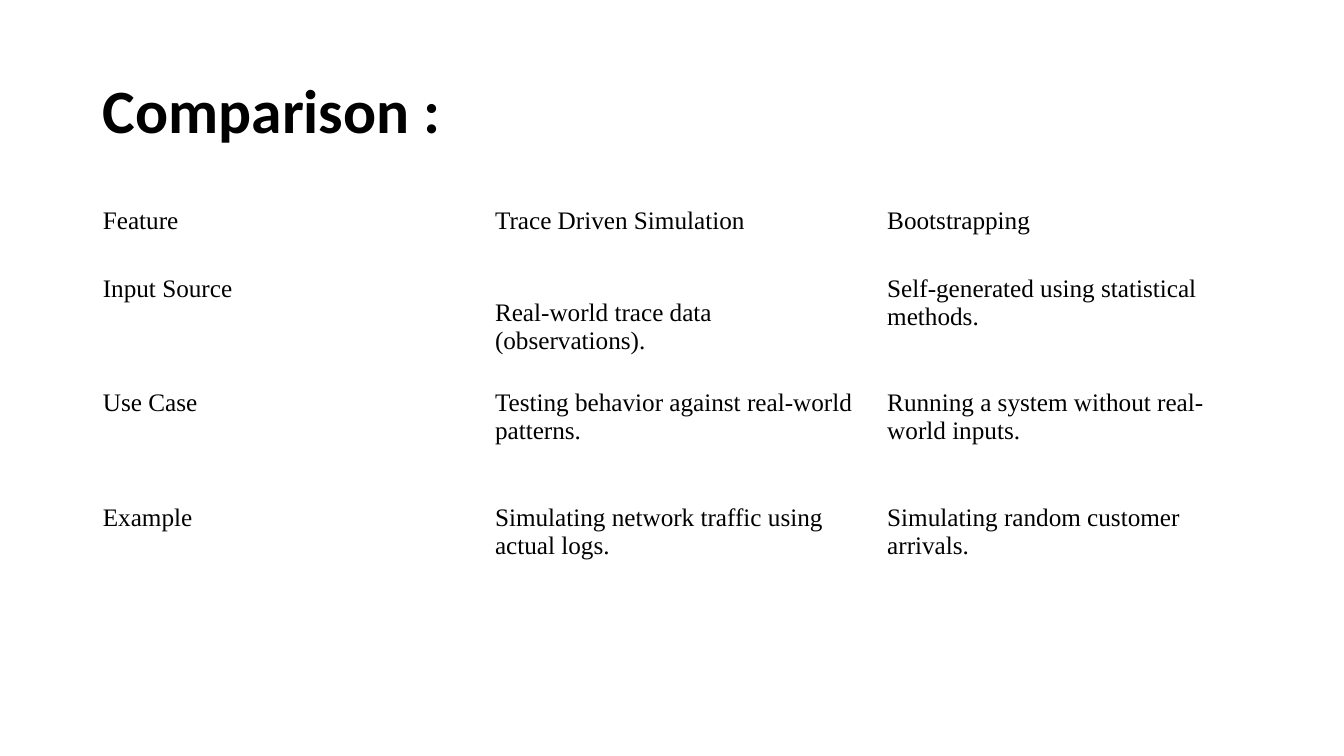
"""Build a slide comparing trace driven simulation with bootstrapping."""
from pptx import Presentation
from pptx.dml.color import RGBColor
from pptx.enum.text import MSO_ANCHOR as Anchor, PP_ALIGN as Align
from pptx.util import Inches, Pt

HEADING = "Comparison :"
COMPARISON = [
    ("Feature", "Trace Driven Simulation", "Bootstrapping"),
    ("Input Source", "Real-world trace data (observations).",
     "Self-generated using statistical methods."),
    ("Use Case", "Testing behavior against real-world patterns.",
     "Running a system without real-world inputs."),
    ("Example", "Simulating network traffic using actual logs.",
     "Simulating random customer arrivals."),
]
ROW_HEIGHTS = [0.68, 1.13, 1.14, 1.13]
COLUMN_WIDTH = 3.89
LEFT = 0.92
CENTERED_CELL = (1, 1)
BLACK = "000000"


def style(paragraph, font_name, size, color, bold=False):
    paragraph.alignment = Align.LEFT
    for run in paragraph.runs:
        run.font.name = font_name
        run.font.size = Pt(size)
        run.font.bold = bold
        run.font.color.rgb = RGBColor.from_string(color)


def add_heading(slide):
    heading = slide.shapes.title
    heading.left, heading.top = Inches(LEFT), Inches(0.4)
    heading.width, heading.height = Inches(11.5), Inches(1.45)
    frame = heading.text_frame
    frame.text = HEADING
    frame.word_wrap = True
    frame.vertical_anchor = Anchor.MIDDLE
    frame.paragraphs[0].line_spacing = 0.9
    style(frame.paragraphs[0], "Calibri", 44, BLACK, bold=True)


def add_comparison(slide):
    column_count = len(COMPARISON[0])
    table = slide.shapes.add_table(
        len(COMPARISON), column_count, Inches(LEFT), Inches(2),
        Inches(COLUMN_WIDTH * column_count), Inches(sum(ROW_HEIGHTS))).table
    table.first_row = False
    table.horz_banding = False
    for column in table.columns:
        column.width = Inches(COLUMN_WIDTH)
    for r, (features, height) in enumerate(zip(COMPARISON, ROW_HEIGHTS)):
        table.rows[r].height = Inches(height)
        for c, wording in enumerate(features):
            cell = table.cell(r, c)
            cell.fill.background()
            cell.text_frame.text = wording
            cell.vertical_anchor = Anchor.MIDDLE if (r, c) == CENTERED_CELL else Anchor.TOP
            style(cell.text_frame.paragraphs[0], "Times New Roman", 18, BLACK)


def main():
    deck = Presentation()
    deck.slide_width, deck.slide_height = Inches(13.33), Inches(7.5)
    slide = deck.slides.add_slide(deck.slide_layouts[5])
    add_heading(slide)
    add_comparison(slide)
    deck.save("out.pptx")


if __name__ == "__main__":
    main()
